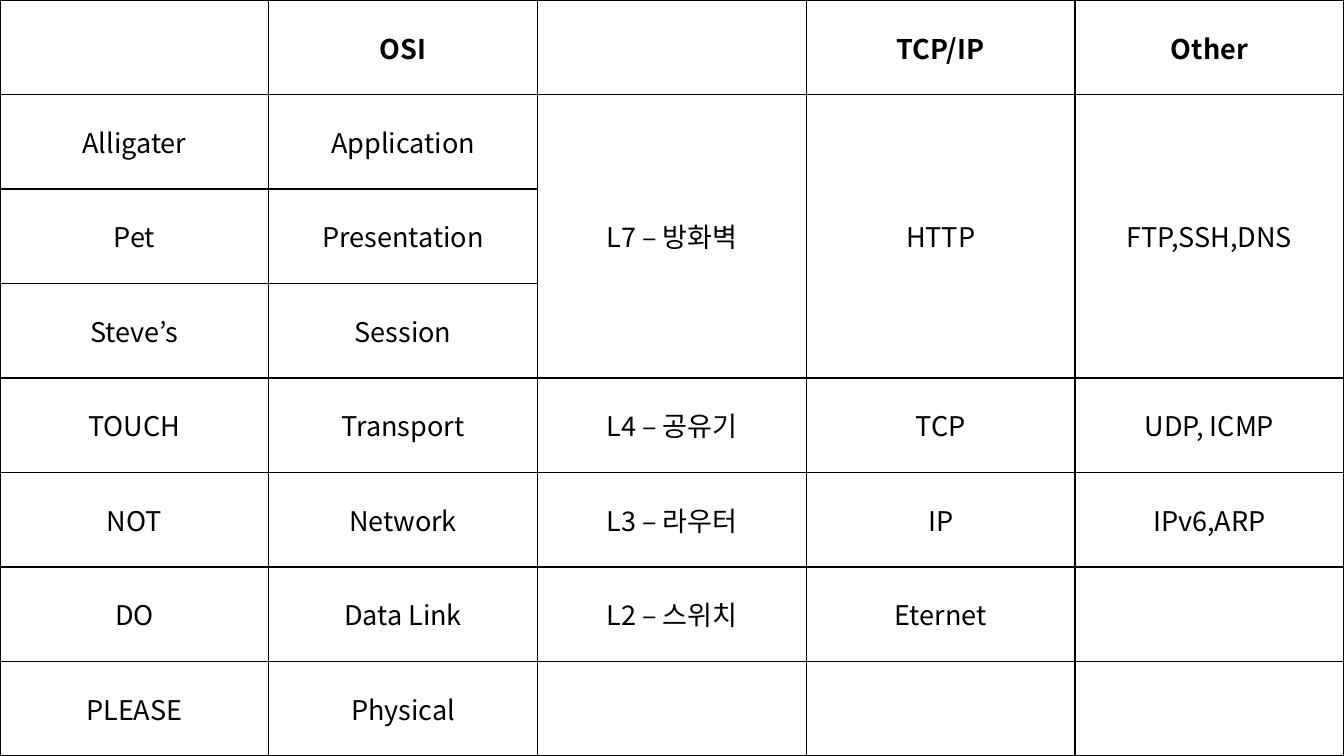
from pptx import Presentation
from pptx.dml.color import RGBColor
from pptx.enum.text import MSO_ANCHOR, PP_ALIGN
from pptx.oxml.ns import qn
from pptx.util import Cm, Pt
from lxml import etree

CENTER = PP_ALIGN.CENTER
MIDDLE = MSO_ANCHOR.MIDDLE

WIDTH, HEIGHT = 28, 15.75  # cm

ROWS = [
    ["", "OSI", "", "TCP/IP", "Other"],
    ["Alligater", "Application", "L7 – 방화벽", "HTTP", "FTP,SSH,DNS"],
    ["Pet", "Presentation", "", "", ""],
    ["Steve’s", "Session", "", "", ""],
    ["TOUCH", "Transport", "L4 – 공유기", "TCP", "UDP, ICMP"],
    ["NOT", "Network", "L3 – 라우터", "IP", "IPv6,ARP"],
    ["DO", "Data Link", "L2 – 스위치", "Eternet", ""],
    ["PLEASE", "Physical", "", "", ""],
]
# The upper three OSI layers share one cell in each of these columns
MERGED_COLUMNS = (2, 3, 4)
MERGED_ROWS = (1, 3)


def color(value):
    return RGBColor.from_string(value)


class Deck:
    font = "Noto Sans CJK KR"
    size = Pt(16)
    ink = "000000"
    paper = "FFFFFF"
    border = Pt(1)

    def __init__(self, prs):
        self.s = prs.slides.add_slide(prs.slide_layouts[6])

    def table(self, x, y, w, h, rows):
        n_rows, n_cols = len(rows), len(rows[0])
        frame = self.s.shapes.add_table(n_rows, n_cols, Cm(x), Cm(y), Cm(w), Cm(h))
        table = frame.table
        table.horz_banding = False
        for column in table.columns:
            column.width = Cm(w / n_cols)
        for row in table.rows:
            row.height = Cm(h / n_rows)
        for i, texts in enumerate(rows):
            for j, text in enumerate(texts):
                self.cell(table.cell(i, j), text, bold=i == 0)
        return table

    def cell(self, cell, text, bold):
        cell.vertical_anchor = MIDDLE
        self.borders(cell)
        cell.fill.solid()
        cell.fill.fore_color.rgb = color(self.paper)
        p = cell.text_frame.paragraphs[0]
        p.text = text
        p.alignment = CENTER
        p.font.size = self.size
        p.font.bold = bold
        p.font.color.rgb = color(self.ink)
        p.font.name = self.font
        # East Asian typeface for the Korean words
        props = p._p.pPr.find(qn("a:defRPr"))
        etree.SubElement(props, qn("a:ea"), typeface=self.font)

    def borders(self, cell):
        props = cell._tc.get_or_add_tcPr()
        for side in ("lnL", "lnR", "lnT", "lnB"):
            line = etree.SubElement(props, qn("a:" + side), w=str(self.border))
            fill = etree.SubElement(line, qn("a:solidFill"))
            etree.SubElement(fill, qn("a:srgbClr"), val=self.ink)


def main():
    prs = Presentation()
    prs.slide_width, prs.slide_height = Cm(WIDTH), Cm(HEIGHT)
    deck = Deck(prs)

    # Layer table filling the slide
    layers = deck.table(0, 0, WIDTH, HEIGHT, ROWS)
    first, last = MERGED_ROWS
    for j in MERGED_COLUMNS:
        layers.cell(first, j).merge(layers.cell(last, j))

    prs.save("out.pptx")


if __name__ == "__main__":
    main()
